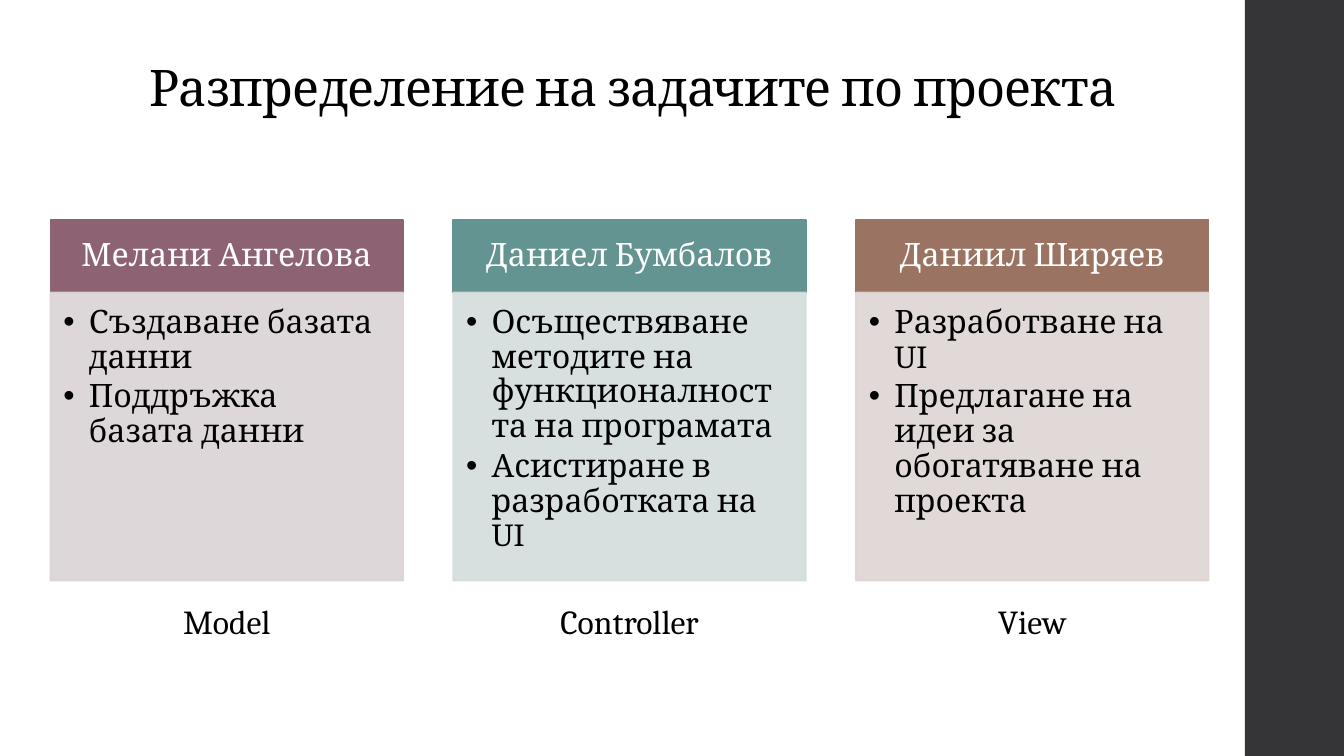
"""Build a slide that shows how the project tasks are shared among three people."""
from lxml import etree
from pptx import Presentation
from pptx.dml.color import RGBColor
from pptx.enum.shapes import MSO_SHAPE
from pptx.enum.text import MSO_ANCHOR, MSO_AUTO_SIZE, PP_ALIGN
from pptx.oxml.ns import qn
from pptx.util import Cm, Pt

RECTANGLE = MSO_SHAPE.RECTANGLE
TOP, MIDDLE, BOTTOM = MSO_ANCHOR.TOP, MSO_ANCHOR.MIDDLE, MSO_ANCHOR.BOTTOM
LEFT, CENTER = PP_ALIGN.LEFT, PP_ALIGN.CENTER
NO_FIT, GROW = MSO_AUTO_SIZE.NONE, MSO_AUTO_SIZE.SHAPE_TO_FIT_TEXT

TITLE = "Разпределение на задачите по проекта"
MEMBERS = [
    {"name": "Мелани Ангелова", "role": "Model", "header": "plum", "panel": "plum_tint",
     "tasks": ["Създаване базата данни", "Поддръжка базата данни"]},
    {"name": "Даниел Бумбалов", "role": "Controller", "header": "teal", "panel": "teal_tint",
     "tasks": ["Осъществяване методите на функционалността на програмата",
               "Асистиране в разработката на UI"]},
    {"name": "Даниил Ширяев", "role": "View", "header": "brown", "panel": "brown_tint",
     "tasks": ["Разработване на UI", "Предлагане на идеи за обогатяване на проекта"]},
]
COLORS = {
    "text": "000000", "light": "FFFFFF", "band": "353537",
    "plum": "8D6374", "teal": "639491", "brown": "9B7362",
    "plum_tint": "DBD3D6", "teal_tint": "D3DCDC", "brown_tint": "DED5D3",
}
FONT = "Cambria"
SLIDE_WIDTH, SLIDE_HEIGHT = 33.87, 19.05
BAND_LEFT, BAND_WIDTH = 31.37, 2.5
COLUMN_LEFT, COLUMN_WIDTH, COLUMN_PITCH = 1.27, 8.89, 10.15
HEADER_TOP, HEADER_HEIGHT = 5.54, 1.83
PANEL_TOP, PANEL_HEIGHT = HEADER_TOP + HEADER_HEIGHT, 7.26
ROLE_TOP, ROLE_HEIGHT = 15.01, 1.27
HEADER_MARGINS = (0.46, 0.25, 0.46, 0.25)
PANEL_MARGINS = (0.33, 0.33, 0.46, 0.51)
BULLET_INDENT = 0.64


def color(name):
    return RGBColor.from_string(COLORS[name])


def add_box(slide, left, top, width, height, fill, alpha=None):
    box = slide.shapes.add_shape(RECTANGLE, Cm(left), Cm(top), Cm(width), Cm(height))
    box.shadow.inherit = False
    box.line.width = Pt(1.1)
    for paint in (box.fill, box.line.fill):
        paint.solid()
        paint.fore_color.rgb = color(fill)
    if alpha:
        for rgb in box.element.spPr.iter(qn("a:srgbClr")):
            etree.SubElement(rgb, qn("a:alpha"), val=str(alpha * 1000))
    return box


def set_frame(shape, anchor, margins=(0.25, 0.13, 0.25, 0.13), fit=NO_FIT):
    frame = shape.text_frame
    frame.word_wrap = True
    frame.auto_size = fit
    frame.vertical_anchor = anchor
    frame.margin_left, frame.margin_top, frame.margin_right, frame.margin_bottom = map(Cm, margins)
    return frame


def write(paragraph, text, size, ink="text", align=LEFT, spacing=0.9):
    paragraph.alignment = align
    paragraph.line_spacing = spacing
    run = paragraph.add_run()
    run.text = text
    run.font.name = FONT
    run.font.size = Pt(size)
    run.font.color.rgb = color(ink)
    return run


def add_bullet(paragraph):
    properties = paragraph._p.get_or_add_pPr()
    properties.set("marL", str(Cm(BULLET_INDENT)))
    properties.set("indent", str(-Cm(BULLET_INDENT)))
    etree.SubElement(properties, qn("a:buFont"), typeface="Arial")
    etree.SubElement(properties, qn("a:buChar"), char="•")


def add_title(slide):
    title = slide.shapes.title
    title.left, title.top, title.width, title.height = Cm(3.51), Cm(1.02), Cm(26.92), Cm(2.08)
    run = write(set_frame(title, BOTTOM).paragraphs[0], TITLE, 36)
    run.font._element.set("spc", "-50")


def add_member(slide, left, member):
    header = add_box(slide, left, HEADER_TOP, COLUMN_WIDTH, HEADER_HEIGHT, member["header"])
    frame = set_frame(header, MIDDLE, HEADER_MARGINS)
    write(frame.paragraphs[0], member["name"], 23, "light", CENTER)

    panel = add_box(slide, left, PANEL_TOP, COLUMN_WIDTH, PANEL_HEIGHT, member["panel"], 90)
    frame = set_frame(panel, TOP, PANEL_MARGINS)
    for index, task in enumerate(member["tasks"]):
        paragraph = frame.add_paragraph() if index else frame.paragraphs[0]
        write(paragraph, task, 23)
        paragraph.space_after = Pt(3.5)
        add_bullet(paragraph)

    role = slide.shapes.add_textbox(Cm(left), Cm(ROLE_TOP), Cm(COLUMN_WIDTH), Cm(ROLE_HEIGHT))
    frame = set_frame(role, TOP, fit=GROW)
    write(frame.paragraphs[0], member["role"], 24, align=CENTER, spacing=1.0)


def main():
    presentation = Presentation()
    presentation.slide_width, presentation.slide_height = Cm(SLIDE_WIDTH), Cm(SLIDE_HEIGHT)
    slide = presentation.slides.add_slide(presentation.slide_layouts.get_by_name("Title Only"))
    band = add_box(slide, BAND_LEFT, 0, BAND_WIDTH, SLIDE_HEIGHT, "band")
    band.line.fill.background()
    add_title(slide)
    for index, member in enumerate(MEMBERS):
        add_member(slide, COLUMN_LEFT + index * COLUMN_PITCH, member)
    presentation.save("out.pptx")


if __name__ == "__main__":
    main()
